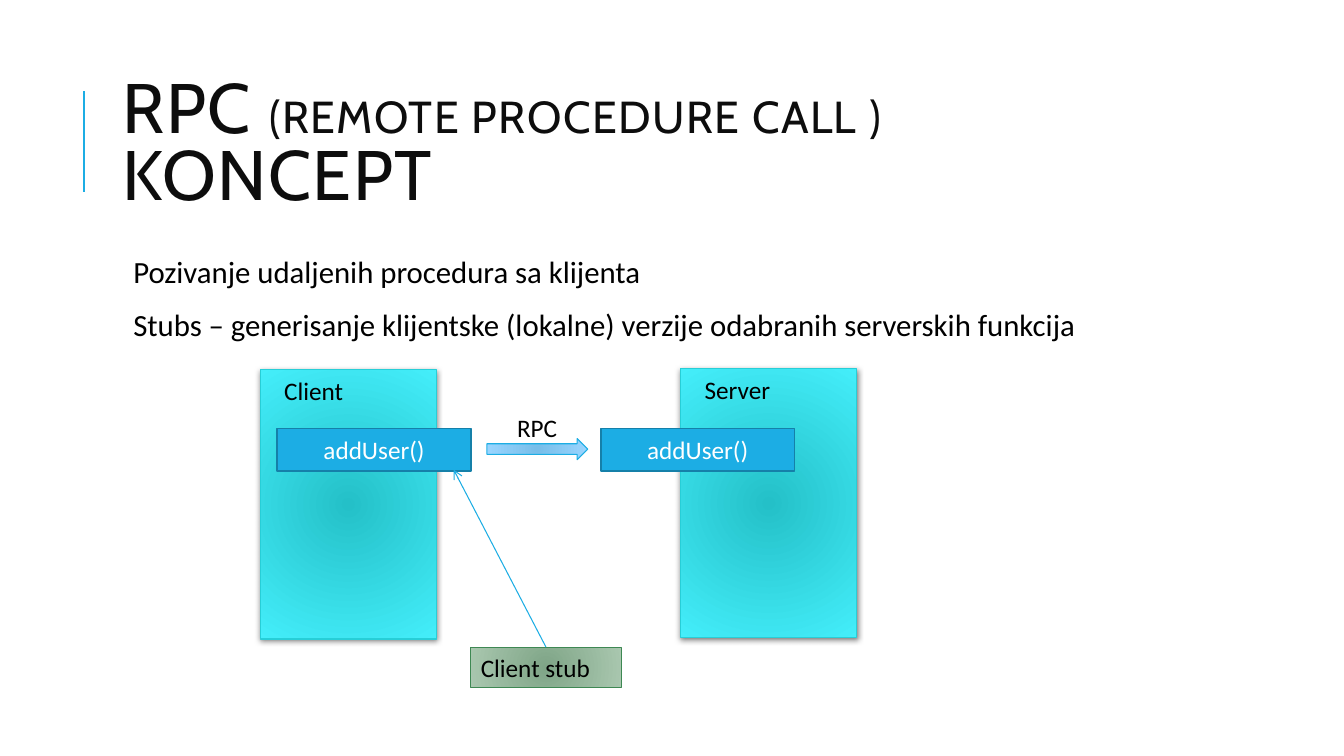
from lxml.etree import SubElement
from pptx import Presentation
from pptx.dml.color import RGBColor
from pptx.enum.shapes import MSO_CONNECTOR, MSO_SHAPE
from pptx.enum.text import MSO_ANCHOR, MSO_AUTO_SIZE, PP_ALIGN
from pptx.oxml.ns import qn
from pptx.util import Inches, Pt

BLUE = "1CADE4"


def color(hex_text):
    """Turn a hex string into a colour."""
    return RGBColor.from_string(hex_text)


def style(paragraph, size, hex_text, name="Calibri"):
    """Set the font of a whole paragraph."""
    font = paragraph.font
    font.name = name
    font.color.rgb = color(hex_text)
    if size:
        font.size = Pt(size)


def add_text_frame(slide, left, top, width, height):
    """Add a text box and return its frame, wrapped."""
    frame = slide.shapes.add_textbox(
        Inches(left), Inches(top), Inches(width), Inches(height)).text_frame
    frame.word_wrap = True
    return frame


def fit_label(frame, text):
    """Write a black label whose box fits its text."""
    frame.word_wrap = False
    frame.auto_size = MSO_AUTO_SIZE.SHAPE_TO_FIT_TEXT
    label = frame.paragraphs[0]
    label.text = text
    label.alignment = PP_ALIGN.LEFT
    style(label, 18, "000000")


def add_block(slide, kind, box, fill, outline, weight=0.75):
    """Add a shape with a solid fill, or a radial one for two colours."""
    block = slide.shapes.add_shape(kind, *map(Inches, box))
    block.shadow.inherit = False
    block.line.color.rgb = color(outline)
    block.line.width = Pt(weight)
    if isinstance(fill, str):
        block.fill.solid()
        block.fill.fore_color.rgb = color(fill)
        return block
    block.fill.gradient()
    for stop, hex_text in zip(block.fill.gradient_stops, fill):
        stop.color.rgb = color(hex_text)
    gradient = block._element.spPr.find(qn("a:gradFill"))
    gradient.remove(gradient.find(qn("a:lin")))
    path = SubElement(gradient, qn("a:path"), path="circle")
    SubElement(path, qn("a:fillToRect"), l="50000", t="50000", r="50000", b="50000")
    return block


def add_line(slide, start, end, weight):
    """Add a blue straight line without shadow."""
    line = slide.shapes.add_connector(
        MSO_CONNECTOR.STRAIGHT, *map(Inches, (*start, *end)))
    line.line.color.rgb = color(BLUE)
    line.line.width = Pt(weight)
    SubElement(line._element.spPr, qn("a:effectLst"))
    return line


def add_title(slide, left, top, width, height):
    """Add the heading and the rule at its left."""
    add_line(slide, (left - 0.29, top + 1.26), (left - 0.29, top + 0.26), 1.5)
    frame = add_text_frame(slide, left, top, width, height)
    frame.vertical_anchor = MSO_ANCHOR.MIDDLE
    heading = frame.paragraphs[0]
    heading.line_spacing = 0.8
    style(heading, None, "0D0D0D", "Cabin")
    for text, size in (("RPC ", 50), ("(REMOTE PROCEDURE CALL ) ", 32), ("KONCEPT", 50)):
        run = heading.add_run()
        run.text = text
        run.font.size = Pt(size)
        run._r.get_or_add_rPr().set("spc", "100")


def add_body(slide, left, top, width, height, lines):
    """Add the paragraphs under the heading."""
    frame = add_text_frame(slide, left, top, width, height)
    frame.margin_left = frame.margin_right = Inches(0.05)
    for index, text in enumerate(lines):
        point = frame.add_paragraph() if index else frame.paragraphs[0]
        point.text = text
        point.line_spacing = 0.9
        point.space_after = Pt(2)
        if index:
            point.space_before = Pt(12)
        properties = point._p.get_or_add_pPr()
        properties.set("marL", str(Inches(0.1)))
        properties.set("indent", str(Inches(-0.1)))
        bullet_color = SubElement(properties, qn("a:buClr"))
        SubElement(bullet_color, qn("a:srgbClr"), val=BLUE)
        SubElement(properties, qn("a:buChar"), char=" ")
        style(point, 22, "000000")


def add_machine(slide, left, top, name, name_width, function_left):
    """Add a named machine with the function it offers."""
    machine = add_block(slide, MSO_SHAPE.RECTANGLE, (left, top, 1.75, 2.67),
                        ("24C0C8", "44EEFA"), "27CED7")
    effects = machine._element.spPr.find(qn("a:effectLst"))
    shadow = SubElement(effects, qn("a:outerShdw"), blurRad=str(Pt(4)),
                        dist=str(Pt(1)), dir="5400000", rotWithShape="0")
    shade = SubElement(shadow, qn("a:srgbClr"), val="000000")
    SubElement(shade, qn("a:alpha"), val="50000")
    fit_label(add_text_frame(slide, left + 0.14, top, name_width, 0.4), name)
    function = add_block(slide, MSO_SHAPE.RECTANGLE, (function_left, 4.25, 1.92, 0.42),
                         BLUE, "1580A9", 1.25)
    function.text_frame.vertical_anchor = MSO_ANCHOR.MIDDLE
    call = function.text_frame.paragraphs[0]
    call.text = "addUser()"
    call.alignment = PP_ALIGN.CENTER
    style(call, 18, "FFFFFF")


def add_diagram(slide, left, top):
    """Add the client, the server, the call between them and the stub."""
    add_machine(slide, left, top + 0.01, "Client", 0.91, left + 0.17)
    add_machine(slide, left + 4.17, top, "Server", 0.95, left + 3.38)
    add_block(slide, MSO_SHAPE.RIGHT_ARROW, (left + 2.25, top + 0.69, 1, 0.21),
              ("78BEE9", "9AD5FF"), BLUE)
    fit_label(add_text_frame(slide, left + 2.45, top + 0.38, 0.71, 0.4), "RPC")
    stub = add_block(slide, MSO_SHAPE.RECTANGLE, (left + 2.09, top + 2.76, 1.49, 0.4),
                     ("7FA587", "A9C7AF"), "3E8853")
    stub.text_frame.vertical_anchor = MSO_ANCHOR.TOP
    fit_label(stub.text_frame, "Client stub")
    pointer = add_line(slide, (left + 2.83, top + 2.76), (left + 1.92, top + 1), 0.75)
    pointer.begin_connect(stub, 0)
    SubElement(pointer.line._get_or_add_ln(), qn("a:tailEnd"), type="arrow")


def main():
    """Build the slide and save it."""
    deck = Presentation()
    deck.slide_width, deck.slide_height = Inches(13.33), Inches(7.5)
    slide = deck.slides.add_slide(deck.slide_layouts[6])
    add_title(slide, 1.12, 0.64, 10.63, 1.64)
    add_body(slide, 1.12, 2.5, 10.63, 4.4, (
        "Pozivanje udaljenih procedura sa klijenta",
        "Stubs – generisanje klijentske (lokalne) verzije odabranih serverskih funkcija"))
    add_diagram(slide, 2.58, 3.66)
    deck.save("out.pptx")


if __name__ == "__main__":
    main()
